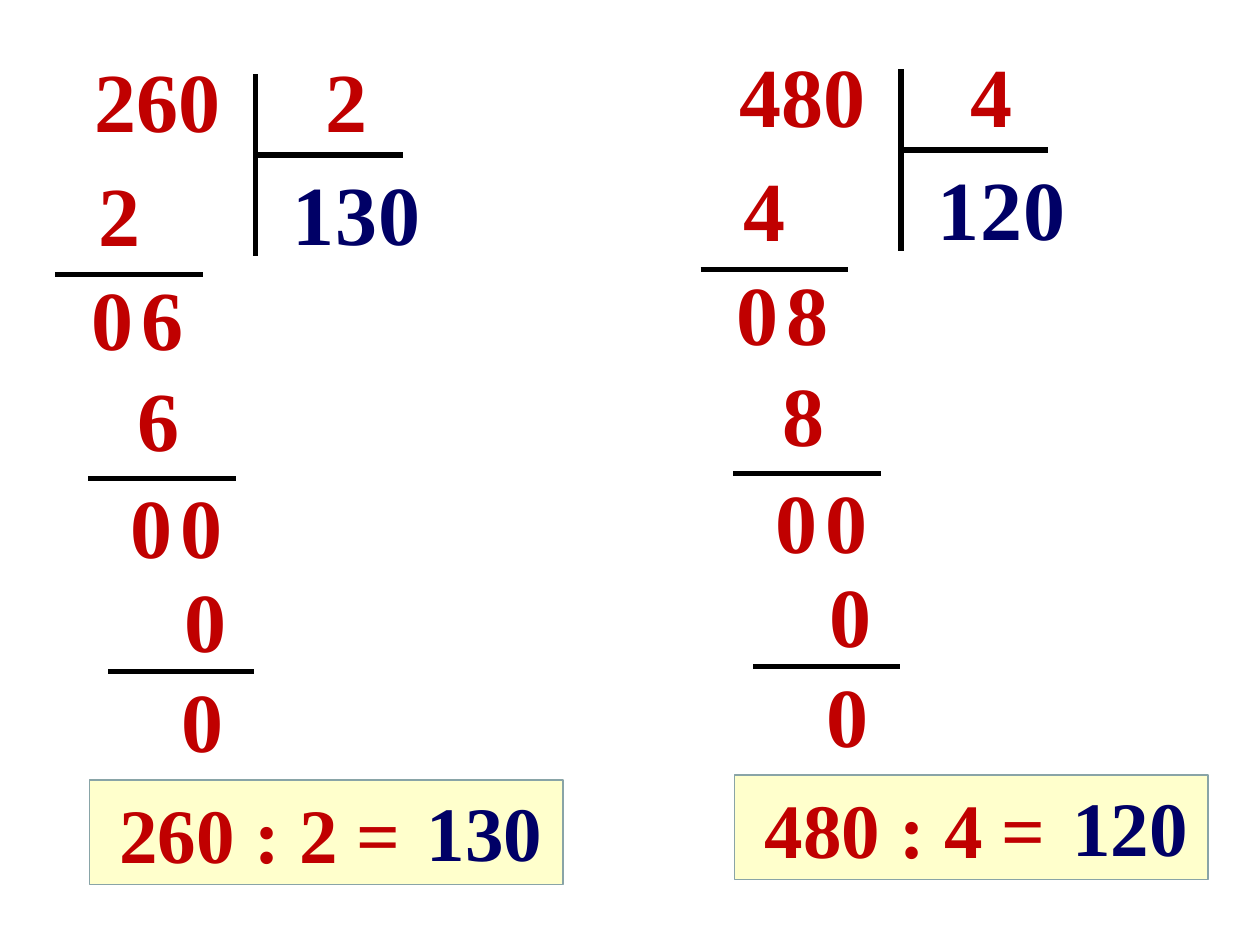
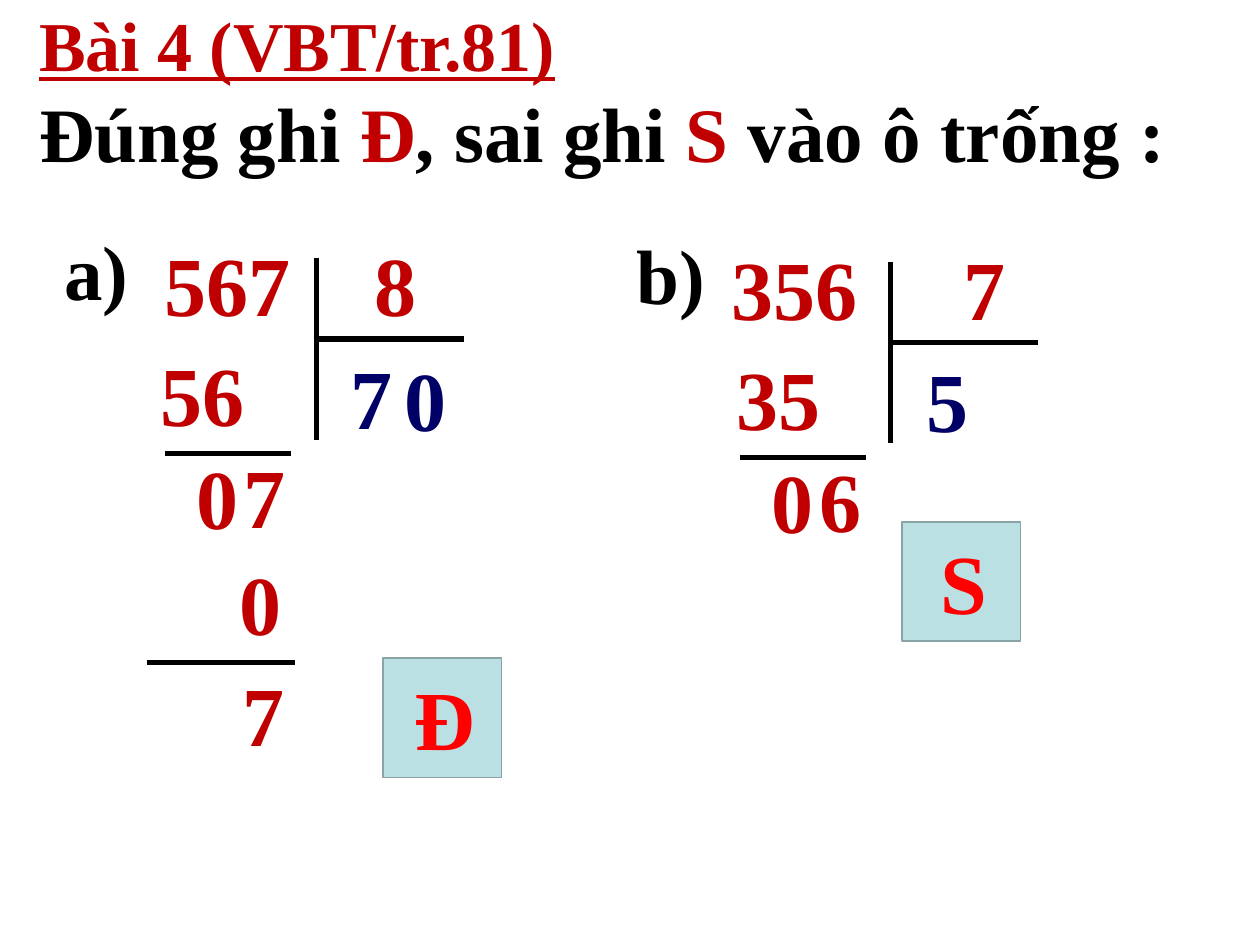
from lxml import etree
from pptx import Presentation
from pptx.dml.color import RGBColor
from pptx.enum.shapes import MSO_CONNECTOR, MSO_SHAPE
from pptx.enum.text import MSO_ANCHOR, MSO_AUTO_SIZE, PP_ALIGN
from pptx.oxml.ns import qn
from pptx.util import Inches, Pt

STRAIGHT = MSO_CONNECTOR.STRAIGHT
RECTANGLE, OVAL = MSO_SHAPE.RECTANGLE, MSO_SHAPE.OVAL
LEFT, CENTER = PP_ALIGN.LEFT, PP_ALIGN.CENTER
TOP, MIDDLE = MSO_ANCHOR.TOP, MSO_ANCHOR.MIDDLE
NO_AUTOFIT = MSO_AUTO_SIZE.NONE

FONT = "Times New Roman"
COLORS = {
    "working": "C00000",
    "quotient": "000066",
    "ink": "000000",
    "mark": "FF0000",
    "result_fill": "FFFFCC",
    "answer_fill": "BBE0E3",
    "border": "89A4A7",
}
DIGIT_SIZE, TEXT_SIZE, HEADING_SIZE = 48, 44, 40
TITLE_ONLY, BLANK = 5, 6


def rgb(name):
    return RGBColor.from_string(COLORS[name])


def set_font(font, size, color):
    font.name, font.size, font.bold = FONT, Pt(size), True
    font.color.rgb = rgb(color)


def write(sp, text, size, color, align):
    tf = sp.text_frame
    tf.word_wrap = True
    p = tf.paragraphs[0]
    p.text, p.alignment = text, align
    set_font(p.font, size, color)


def add_text(slide, text, x, y, w, h, size, color, align=LEFT):
    sp = slide.shapes.add_textbox(Inches(x), Inches(y), Inches(w), Inches(h))
    write(sp, text, size, color, align)


def add_number(slide, text, center, y, color="working"):
    """Write a number centred on the given x position."""
    w = 0.55 + 0.35 * len(text)
    add_text(slide, text, center - w / 2, y, w, 0.9, DIGIT_SIZE, color, CENTER)


def add_line(slide, x1, y1, x2, y2):
    line = slide.shapes.add_connector(
        STRAIGHT, Inches(x1), Inches(y1), Inches(x2), Inches(y2))
    line.line.color.rgb = rgb("ink")
    line.line.width = Pt(3)
    etree.SubElement(line._element.spPr, qn("a:effectLst"))


def add_box(slide, x, y, w, h, fill):
    sp = slide.shapes.add_shape(RECTANGLE, Inches(x), Inches(y), Inches(w), Inches(h))
    sp.shadow.inherit = False
    sp.fill.solid()
    sp.fill.fore_color.rgb = rgb(fill)
    sp.line.color.rgb = rgb("border")
    sp.line.width = Pt(1)


def add_label(slide, text, x, y):
    """Add an exercise letter in an unfilled oval."""
    sp = slide.shapes.add_shape(OVAL, Inches(x), Inches(y), Inches(1.19), Inches(0.96))
    sp.shadow.inherit = False
    sp.fill.background()
    sp.line.fill.background()
    sp.text_frame.vertical_anchor = MIDDLE
    write(sp, text, TEXT_SIZE, "ink", CENTER)


def add_division(slide, x, y, bracket, rules, numbers):
    """Draw a long division; all places are relative to (x, y)."""
    left, top = x + bracket[0], y + bracket[1]
    add_line(slide, left, top, left, top + 1.44)
    add_line(slide, left, top + 0.64, left + 1.17, top + 0.64)
    for start, end, rule_y in rules:
        add_line(slide, x + start, y + rule_y, x + end, y + rule_y)
    for text, center, number_y, *color in numbers:
        add_number(slide, text, x + center, y + number_y, *color)


def add_solved_division(slide, x, y, dividend, divisor, quotient):
    """Three-digit division worked to zero, with the result in a box below."""
    product1, product2 = (str(int(d) * int(divisor)) for d in quotient[:2])
    rules = [(0.44, 1.61, 2.18), (0.7, 1.87, 3.8), (0.86, 2.02, 5.33)]
    numbers = [
        (dividend, 1.25, 0.34), (divisor, 2.75, 0.34),
        (quotient[0], 2.49, 1.23, "quotient"),
        (product2, 1.26, 2.87),
        ("0", 0.89, 2.07), ("0", 1.2, 3.72),
        (quotient[1], 2.83, 1.23, "quotient"),
        (product1, 0.95, 1.24),
        (dividend[1], 1.29, 2.07), ("0", 1.6, 3.72), ("0", 1.61, 5.26),
        (quotient[2], 3.17, 1.23, "quotient"),
        ("0", 1.63, 4.46),
    ]
    add_box(slide, x + 0.71, y + 6.19, 3.76, 0.83, "result_fill")
    add_division(slide, x, y, (2.03, 0.59), rules, numbers)
    add_text(slide, f"{dividend} : {divisor} =", x + 0.85, y + 6.19, 2.6, 0.84,
             TEXT_SIZE, "working")
    add_text(slide, quotient, x + 3.29, y + 6.18, 1.32, 0.84, TEXT_SIZE, "quotient")


def add_exercise(slide, x, y, label, rules, numbers):
    add_division(slide, x, y, (2.51, 2.05), rules, numbers)
    add_label(slide, label, x + 0.17, y + 1.66)


def add_answer(slide, x, y, mark):
    add_box(slide, x, y, 0.94, 0.95, "answer_fill")
    add_number(slide, mark, x + 0.49, y + 0.02, "mark")


def add_heading(slide, heading, task):
    """Fill the title with an underlined heading and a task of coloured runs."""
    title = slide.shapes.title
    title.left, title.top = Inches(0.21), Inches(-0.04)
    title.width, title.height = Inches(9.62), Inches(1.5)
    tf = title.text_frame
    tf.auto_size, tf.vertical_anchor = NO_AUTOFIT, TOP
    p = tf.paragraphs[0]
    p.text, p.alignment = heading, LEFT
    set_font(p.font, HEADING_SIZE, "working")
    p.font.underline = True
    p = tf.add_paragraph()
    p.alignment = LEFT
    for text, color in task:
        r = p.add_run()
        r.text = text
        set_font(r.font, TEXT_SIZE, color)


def build_solutions(prs):
    slide = prs.slides.add_slide(prs.slide_layouts[BLANK])
    add_solved_division(slide, 0, 0, "260", "2", "130")
    add_solved_division(slide, 5.12, -0.04, "480", "4", "120")


def build_true_false(prs):
    slide = prs.slides.add_slide(prs.slide_layouts[TITLE_ONLY])
    add_heading(slide, "Bài 4 (VBT/tr.81)", [
        ("Đúng ghi ", "ink"), ("Đ", "working"), (", sai ghi ", "ink"),
        ("S", "working"), (" vào ô trống :", "ink")])
    first_rule = (1.31, 2.31, 3.6)
    add_exercise(
        slide, 0, 0, "a)",
        [first_rule, (1.17, 2.34, 5.26)],
        [("567", 1.81, 1.8), ("8", 3.14, 1.8),
         ("7", 2.95, 2.69, "quotient"),
         ("0", 2.07, 4.33), ("0", 1.73, 3.49), ("7", 2.09, 5.21),
         ("0", 3.38, 2.71, "quotient"),
         ("56", 1.61, 2.67), ("7", 2.1, 3.48)])
    add_exercise(
        slide, 4.56, 0.03, "b)",
        [first_rule],
        [("356", 1.75, 1.8), ("7", 3.25, 1.8),
         ("5", 2.96, 2.69, "quotient"),
         ("0", 1.73, 3.49), ("35", 1.62, 2.67), ("6", 2.11, 3.48)])
    add_answer(slide, 3.04, 5.22, "Đ")
    add_answer(slide, 7.16, 4.14, "S")


def main():
    prs = Presentation()
    prs.slide_width, prs.slide_height = Inches(10), Inches(7.5)
    build_solutions(prs)
    build_true_false(prs)
    prs.save("out.pptx")


if __name__ == "__main__":
    main()
